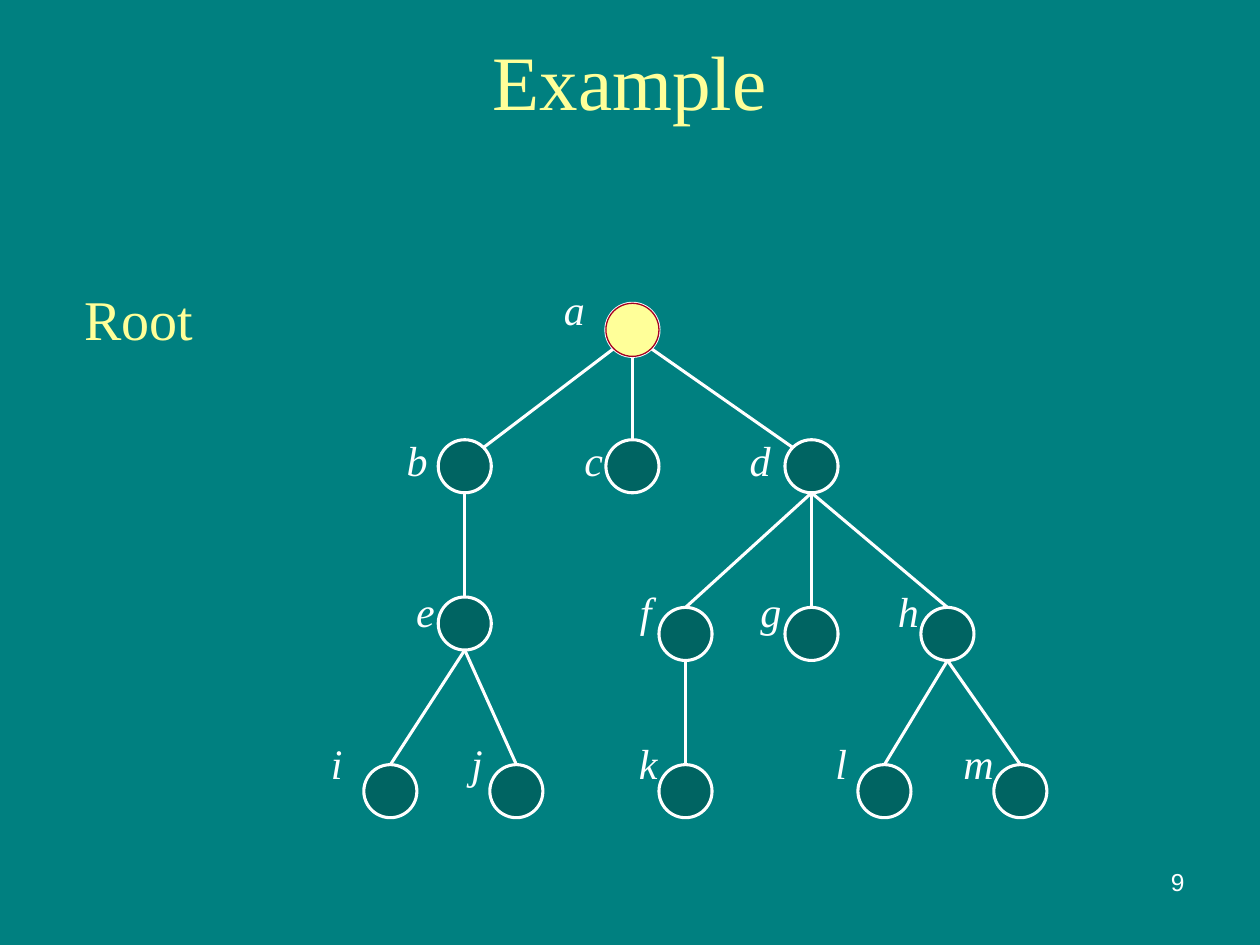
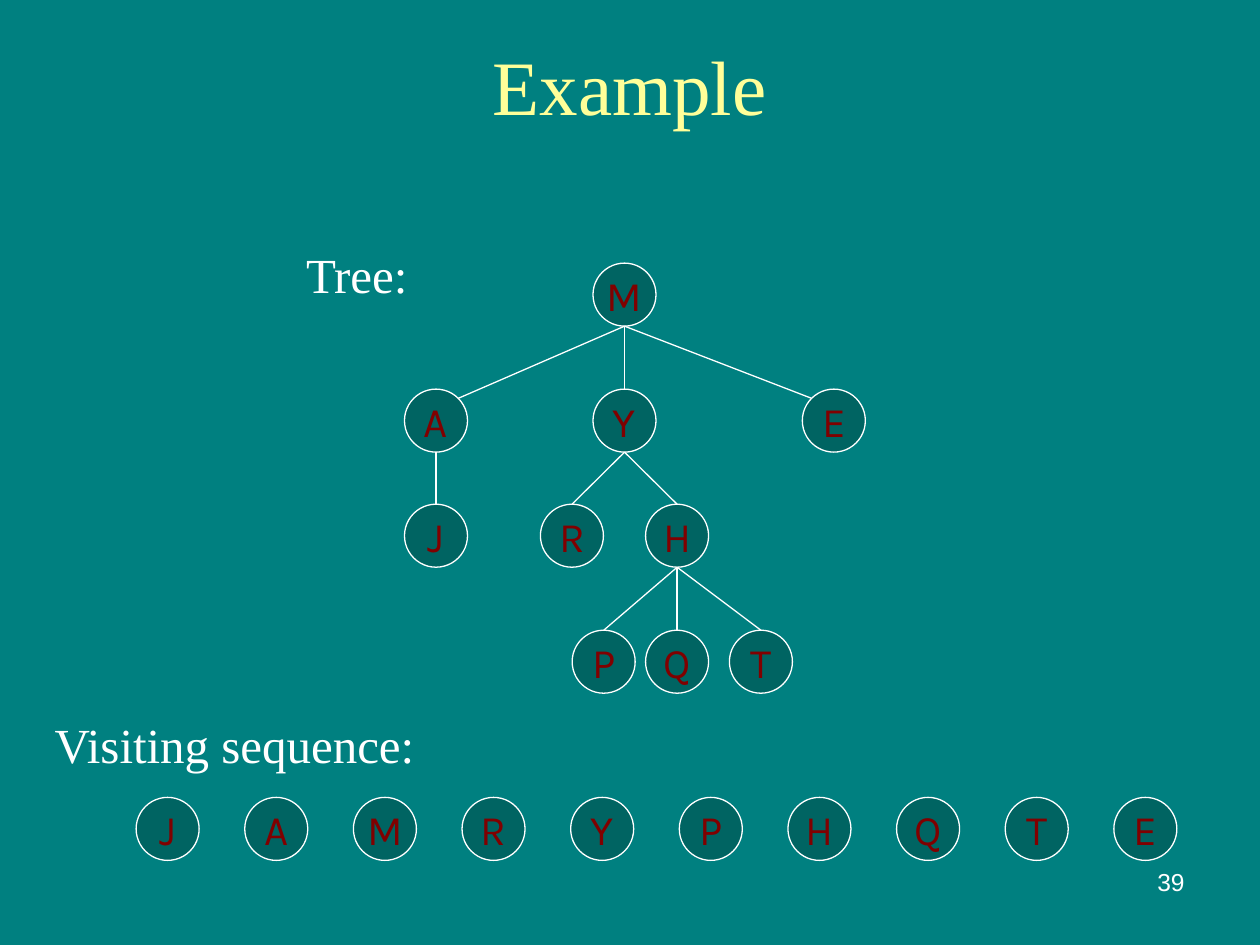
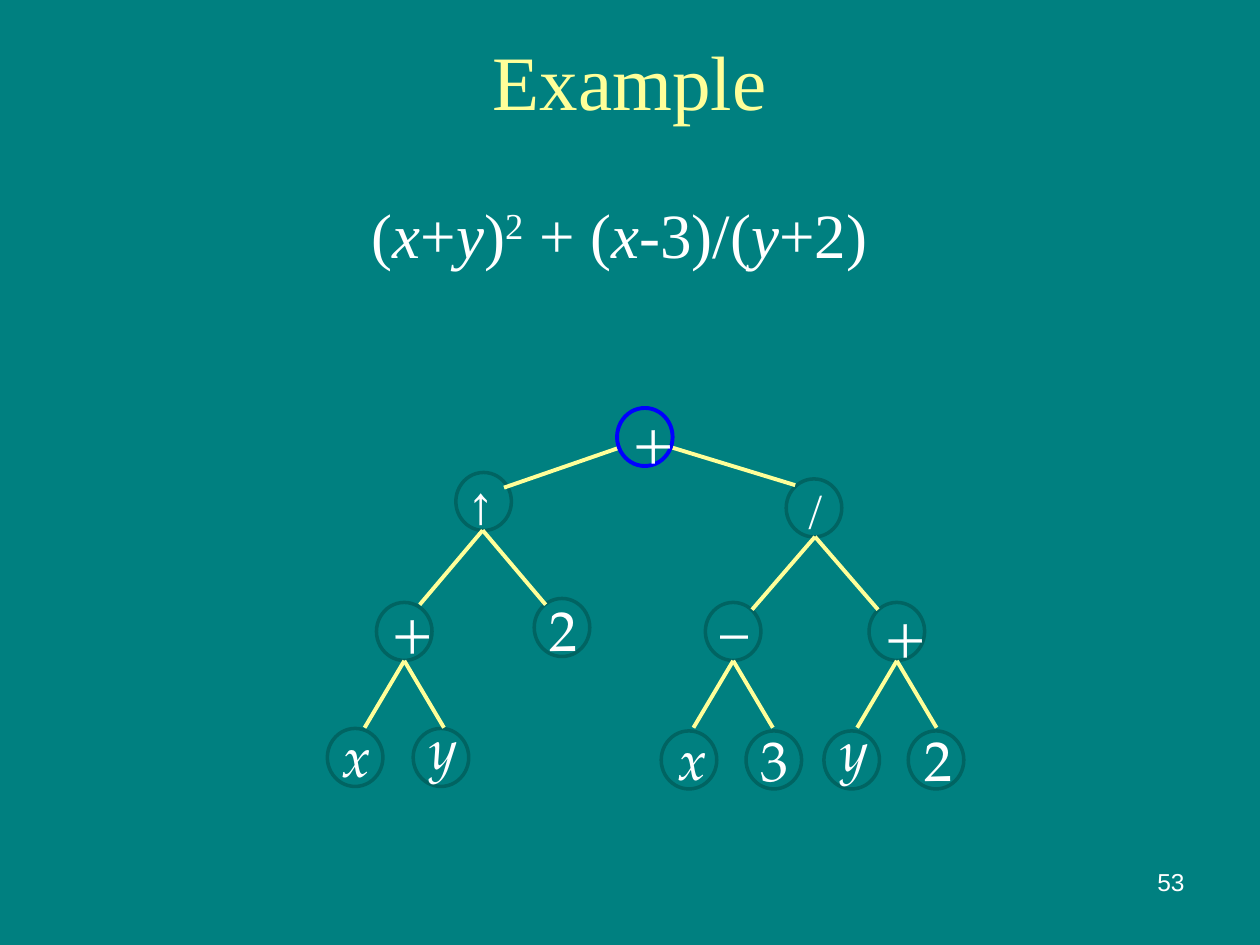
import lxml.etree
import pptx
import pptx.dml.color
import pptx.enum.shapes
import pptx.enum.text
import pptx.oxml.ns
import pptx.util

Cm = pptx.util.Cm
Pt = pptx.util.Pt
ALIGN = pptx.enum.text.PP_ALIGN
ANCHOR = pptx.enum.text.MSO_ANCHOR
OVAL = pptx.enum.shapes.MSO_SHAPE.OVAL
STRAIGHT = pptx.enum.shapes.MSO_CONNECTOR.STRAIGHT
rgb = pptx.dml.color.RGBColor.from_string

TEAL, DARK_TEAL, WHITE, YELLOW = "008080", "006462", "FFFFFF", "FFFF99"
RED, MAROON, BLUE = "A50021", "800000", "0000FF"
SERIF, LETTER_FONT, MATH_FONT = "Times New Roman", "Karla", "TeX Gyre Pagella"

# Points on a node's rim, as multiples of its radius
RIM = {"N": (0, -1), "S": (0, 1), "NE": (0.71, -0.71), "NW": (-0.71, -0.71),
       "SE": (0.71, 0.71), "SW": (-0.71, 0.71)}


def add_text(shape, *pieces, size, color=WHITE, font=SERIF, italic=False,
             align=ALIGN.LEFT, anchor=ANCHOR.TOP, wrap=True):
    """Write the pieces as runs of one paragraph and return the paragraph."""
    frame = shape.text_frame
    frame.word_wrap = wrap
    frame.vertical_anchor = anchor
    frame.margin_left = frame.margin_right = frame.margin_top = frame.margin_bottom = 0
    paragraph = frame.paragraphs[0]
    paragraph.alignment = align
    for piece in pieces:
        run = paragraph.add_run()
        run.text = piece
        run.font.size = Pt(size)
        run.font.name = font
        run.font.italic = italic
        run.font.color.rgb = rgb(color)
    return paragraph


def add_node(slide, x, y, width, height, fill, line, line_width):
    """Draw an ellipse centred on x, y; a fill of None leaves it open."""
    node = slide.shapes.add_shape(OVAL, Cm(x - width / 2), Cm(y - height / 2), Cm(width), Cm(height))
    node.shadow.inherit = False
    if fill:
        node.fill.solid()
        node.fill.fore_color.rgb = rgb(fill)
    else:
        node.fill.background()
    node.line.color.rgb = rgb(line)
    node.line.width = Pt(line_width)
    return node


# Tree with the root marked
rooted = dict(
    number="9", title_height=2.34, size=(1.07, 1.07), node_style=(DARK_TEAL, WHITE, 1.75),
    edge_style=(WHITE, 1.75), highlight=(12.75, 6.65, 1.07, 1.07, YELLOW, RED, 0.75),
    nodes={"a": (12.75, 6.65), "b": (9.37, 9.4), "c": (12.75, 9.4), "d": (16.36, 9.4),
           "e": (9.37, 12.57), "f": (13.82, 12.78), "g": (16.36, 12.78), "h": (19.1, 12.78),
           "i": (7.87, 15.95), "j": (10.41, 15.95), "k": (13.82, 15.95),
           "l": (17.83, 15.95), "m": (20.57, 15.95)},
    edges="ab ac ad be df dg dh ei ej fk hl hm",
    corners={"ab": ("SW", "NE"), "ad": ("SE", "NW")}, lines=[])

# Tree with its visiting sequence
visited = dict(
    number="39", title_height=2.54, size=(1.27, 1.27), node_style=(DARK_TEAL, WHITE, 0.75),
    edge_style=(WHITE, 0.75), highlight=None,
    nodes={"M": (12.59, 5.94), "A": (8.79, 8.48), "Y": (12.59, 8.48), "E": (16.81, 8.48),
           "J": (8.79, 10.8), "R": (11.53, 10.8), "H": (13.65, 10.8),
           "P": (12.17, 13.34), "Q": (13.65, 13.34), "T": (15.34, 13.34)},
    edges="MA MY ME YR YH AJ HP HQ HT",
    corners={"MA": ("S", "NE"), "ME": ("S", "NW")}, lines=[])
for step, letter in enumerate("JAMRYPHQTE"):
    visited["nodes"]["visit " + letter] = (3.38 + 2.19 * step, 16.71)

# Expression tree: symbol, label left and top, node centre
symbols = [("↑", 9.5, 9.65, 9.75, 10.11), ("/", 16.23, 9.7, 16.41, 10.24),
           ("+", 7.9, 12.01, 8.15, 12.73), ("2", 11.07, 12.01, 11.33, 12.65),
           ("–", 14.53, 12.01, 14.78, 12.73), ("+", 17.83, 12.09, 18.08, 12.73),
           ("x", 6.91, 14.55, 7.16, 15.27), ("y", 8.66, 14.38, 8.89, 15.27),
           ("x", 13.67, 14.61, 13.89, 15.32), ("3", 15.34, 14.63, 15.6, 15.32),
           ("y", 16.94, 14.43, 17.17, 15.32), ("2", 18.64, 14.63, 18.87, 15.32)]
expression = dict(
    number="53", title_height=2.34, size=(1.12, 1.17), node_style=(None, DARK_TEAL, 2),
    edge_style=(YELLOW, 2.25), highlight=(13, 8.81, 1.12, 1.17, None, BLUE, 2.25),
    nodes={index: symbol[3:] for index, symbol in enumerate(symbols)},
    edges="", corners={},
    lines=[(12.5, 9.02, 10.16, 9.83), (13.54, 9.02, 16.03, 9.78)])
forks = [(9.73, 10.69, 1.27, 1.5), (16.43, 10.82, 1.27, 1.47)]
forks += [(x, 13.32, 0.8, 1.35) for x in (8.15, 14.78, 18.08)]
for x, y, spread, drop in forks:
    for side in (-1, 1):
        expression["lines"].append((x, y, x + side * spread, y + drop))

presentation = pptx.Presentation()
presentation.slide_width = Cm(25.4)
presentation.slide_height = Cm(19.05)

for tree in (rooted, visited, expression):
    slide = presentation.slides.add_slide(presentation.slide_layouts[6])
    tree["slide"] = slide
    slide.background.fill.solid()
    slide.background.fill.fore_color.rgb = rgb(TEAL)
    title = slide.shapes.add_textbox(Cm(1.27), Cm(0.43), Cm(22.86), Cm(tree["title_height"]))
    add_text(title, "Example", size=44, color=YELLOW, align=ALIGN.CENTER, anchor=ANCHOR.MIDDLE)
    number = slide.shapes.add_textbox(Cm(18.46), Cm(17.48), Cm(5.42), Cm(1))
    add_text(number, tree["number"], size=14, font="Arial", align=ALIGN.RIGHT)

    width, height = tree["size"]
    tree["shapes"] = {name: add_node(slide, x, y, width, height, *tree["node_style"])
                      for name, (x, y) in tree["nodes"].items()}

    lines = list(tree["lines"])
    for edge in tree["edges"].split():
        ends = []
        for name, corner in zip(edge, tree["corners"].get(edge, ("S", "N"))):
            x, y = tree["nodes"][name]
            dx, dy = RIM[corner]
            ends += [x + dx * width / 2, y + dy * height / 2]
        lines.append(ends)
    edge_color, edge_width = tree["edge_style"]
    for ends in lines:
        connector = slide.shapes.add_connector(STRAIGHT, *[Cm(end) for end in ends])
        connector.line.color.rgb = rgb(edge_color)
        connector.line.width = Pt(edge_width)
        lxml.etree.SubElement(connector._element.spPr, pptx.oxml.ns.qn("a:effectLst"))

    if tree["highlight"]:
        add_node(slide, *tree["highlight"])

# Labels beside the nodes of the rooted tree, row by row
label_rows = [{"a": 11.37}, {"b": 8.2, "c": 11.78, "d": 15.11},
              {"e": 8.39, "f": 12.9, "g": 15.33, "h": 18.1},
              {"i": 6.67, "j": 9.5, "k": 12.88, "l": 16.84, "m": 19.42}]
for row, labels in enumerate(label_rows):
    for letter, left in labels.items():
        label = rooted["slide"].shapes.add_textbox(Cm(left), Cm(5.71 + 3.05 * row), Cm(0.8), Cm(1.02))
        add_text(label, letter, size=24, italic=True)
root_label = rooted["slide"].shapes.add_textbox(Cm(1.7), Cm(5.74), Cm(3), Cm(1.35))
add_text(root_label, "Root", size=32, color=YELLOW)

# Letters and captions of the visited tree
for name, node in visited["shapes"].items():
    add_text(node, name[-1], size=24, color=MAROON, font=LETTER_FONT,
             align=ALIGN.CENTER, anchor=ANCHOR.MIDDLE, wrap=False)
for caption, left, top in (("Tree:", 6.17, 4.92), ("Visiting sequence:", 1.1, 14.4)):
    box = visited["slide"].shapes.add_textbox(Cm(left), Cm(top), Cm(8), Cm(1.19))
    add_text(box, caption, size=28)

# Formula and symbols of the expression tree
formula_box = expression["slide"].shapes.add_textbox(Cm(0.64), Cm(3.94), Cm(23.7), Cm(2.84))
formula = add_text(formula_box, "(", "x", "+", "y", ")", "2", " + (", "x", "-3)/(", "y", "+2)",
                   size=36, align=ALIGN.CENTER)
for run in formula.runs:
    run.font.italic = run.text.isalpha()
formula.runs[5]._r.get_or_add_rPr().set("baseline", "30000")
for symbol, left, top, *centre in symbols + [("+", 12.75, 8.18)]:
    box = expression["slide"].shapes.add_textbox(Cm(left), Cm(top), Cm(1.2), Cm(1.35))
    add_text(box, symbol, size=24 if symbol in "↑/" else 32, font=MATH_FONT, italic=symbol.isalpha())

presentation.save("out.pptx")
